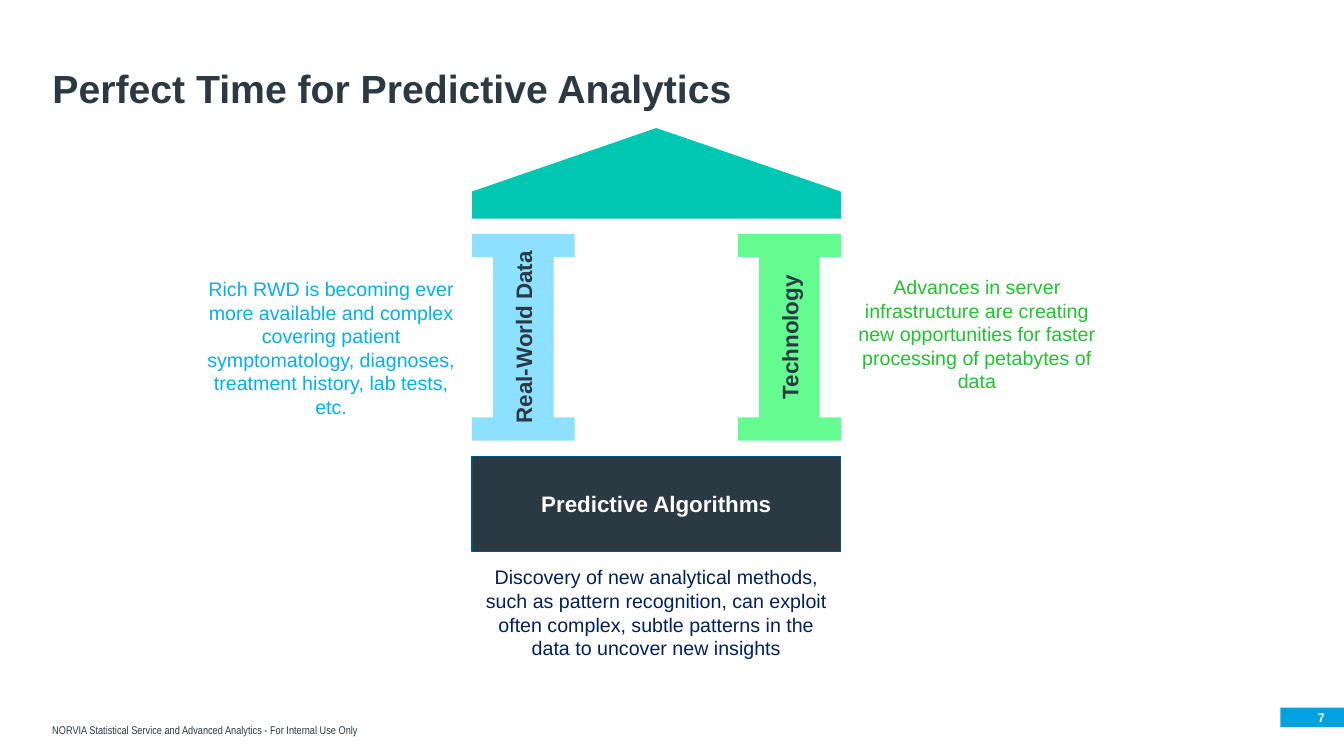
from pptx import Presentation
from pptx.dml.color import RGBColor
from pptx.enum.shapes import MSO_SHAPE as SHAPE
from pptx.enum.text import MSO_ANCHOR as ANCHOR, PP_ALIGN as ALIGN
from pptx.util import Inches, Pt

COLORS = {
    "ink": "2B3A42", "white": "FFFFFF", "badge": "00A3E0", "roof": "00C7B1",
    "data": "8DE0FF", "tech": "64FC91", "edge": "005587",
    "data_text": "00B0F0", "tech_text": "20C22F", "base_text": "002060",
}


def paint(sp, fill):
    sp.shadow.inherit = False
    sp.fill.solid()
    sp.fill.fore_color.rgb = RGBColor.from_string(COLORS[fill])
    sp.line.fill.background()


def write(sp, text, size, color, bold=False, align=ALIGN.CENTER,
          anchor=ANCHOR.MIDDLE, font="Arial"):
    tf = sp.text_frame
    tf.word_wrap = True
    tf.vertical_anchor = anchor
    p = tf.paragraphs[0]
    p.alignment = align
    r = p.add_run()
    r.text = text
    r.font.name, r.font.size, r.font.bold = font, Pt(size), bold
    r.font.color.rgb = RGBColor.from_string(COLORS[color])
    return tf


prs = Presentation()
prs.slide_width, prs.slide_height = Inches(13.33), Inches(7.5)
s = prs.slides.add_slide(prs.slide_layouts[5])
shapes = s.shapes

# Temple grid
LEFT, WIDTH = 4.68, 3.66
MARGIN = 0.42

# Title
title = shapes.title
title.left, title.top, title.width, title.height = map(Inches, (MARGIN, 0.32, 12.4, 0.84))
tf = write(title, "Perfect Time for Predictive Analytics", 28, "ink", True,
           ALIGN.LEFT, ANCHOR.BOTTOM)
tf.paragraphs[0].line_spacing = 0.9

# Page number badge
badge_box = [Inches(v) for v in (12.7, 7.02, 0.63, 0.19)]
badge = shapes.add_shape(SHAPE.RECTANGLE, *badge_box)
paint(badge, "badge")
tf = write(badge, "7", 9, "white", True, ALIGN.RIGHT)
tf.margin_left = tf.margin_top = tf.margin_bottom = 0
tf.margin_right = Inches(0.19)

# Footer
footer = shapes.add_shape(SHAPE.RECTANGLE, Inches(MARGIN), Inches(6.99), Inches(9.97), Inches(0.37))
paint(footer, "white")
write(footer, "NORVIA Statistical Service and Advanced Analytics - For Internal Use Only",
      8, "ink", False, ALIGN.LEFT, ANCHOR.BOTTOM, "Arial Narrow")

# Descriptions around the temple
for x, y, w, h, color, text in (
    (1.92, 2.7, 2.73, 1.51, "data_text",
     "Rich RWD is becoming ever more available and complex covering patient "
     "symptomatology, diagnoses, treatment history, lab tests, etc."),
    (8.36, 2.68, 2.66, 1.28, "tech_text",
     "Advances in server infrastructure are creating new opportunities for faster "
     "processing of petabytes of data"),
    (LEFT, 5.56, WIDTH, 1.04, "base_text",
     "Discovery of new analytical methods, such as pattern recognition, can exploit "
     "often complex, subtle patterns in the data to uncover new insights"),
):
    sp = shapes.add_textbox(Inches(x), Inches(y), Inches(w), Inches(h))
    write(sp, text, 14, color, anchor=ANCHOR.TOP)

# Roof: a pentagon arrow turned to point up
ROOF_TOP, ROOF_H = 1.27, 0.9
roof = shapes.add_shape(SHAPE.PENTAGON, Inches(LEFT + (WIDTH - ROOF_H) / 2),
                        Inches(ROOF_TOP + (ROOF_H - WIDTH) / 2),
                        Inches(ROOF_H), Inches(WIDTH))
roof.adjustments[0] = 0.7
roof.rotation = 270
paint(roof, "roof")

# Pillars: I-shaped outlines with upward text
PILLAR_W, PILLAR_H, TOP = 1.02, 2.05, 2.32
INSET, CAP = 0.21, 0.23
for x, fill, label in ((LEFT, "data", "Real-World Data"),
                       (LEFT + WIDTH - PILLAR_W, "tech", "Technology")):
    x0, x1, x2, x3 = x, x + INSET, x + PILLAR_W - INSET, x + PILLAR_W
    y0, y1, y2, y3 = TOP, TOP + CAP, TOP + PILLAR_H - CAP, TOP + PILLAR_H
    outline = [(x3, y0), (x3, y1), (x2, y1), (x2, y2), (x3, y2), (x3, y3),
               (x0, y3), (x0, y2), (x1, y2), (x1, y1), (x0, y1)]
    fb = shapes.build_freeform(Inches(x0), Inches(y0))
    fb.add_line_segments([(Inches(a), Inches(b)) for a, b in outline], close=True)
    pillar = fb.convert_to_shape()
    paint(pillar, fill)
    tf = write(pillar, label, 16, "ink", True)
    tf.margin_left = tf.margin_right = Inches(0.1)
    tf.margin_top = tf.margin_bottom = Inches(0.09)
    tf._txBody.bodyPr.set("vert", "vert270")

# Base
base = shapes.add_shape(SHAPE.RECTANGLE, Inches(LEFT), Inches(4.53), Inches(WIDTH), Inches(0.94))
paint(base, "ink")
base.line.color.rgb = RGBColor.from_string(COLORS["edge"])
base.line.width = Pt(1)
write(base, "Predictive Algorithms", 16, "white", True)

prs.save("out.pptx")
